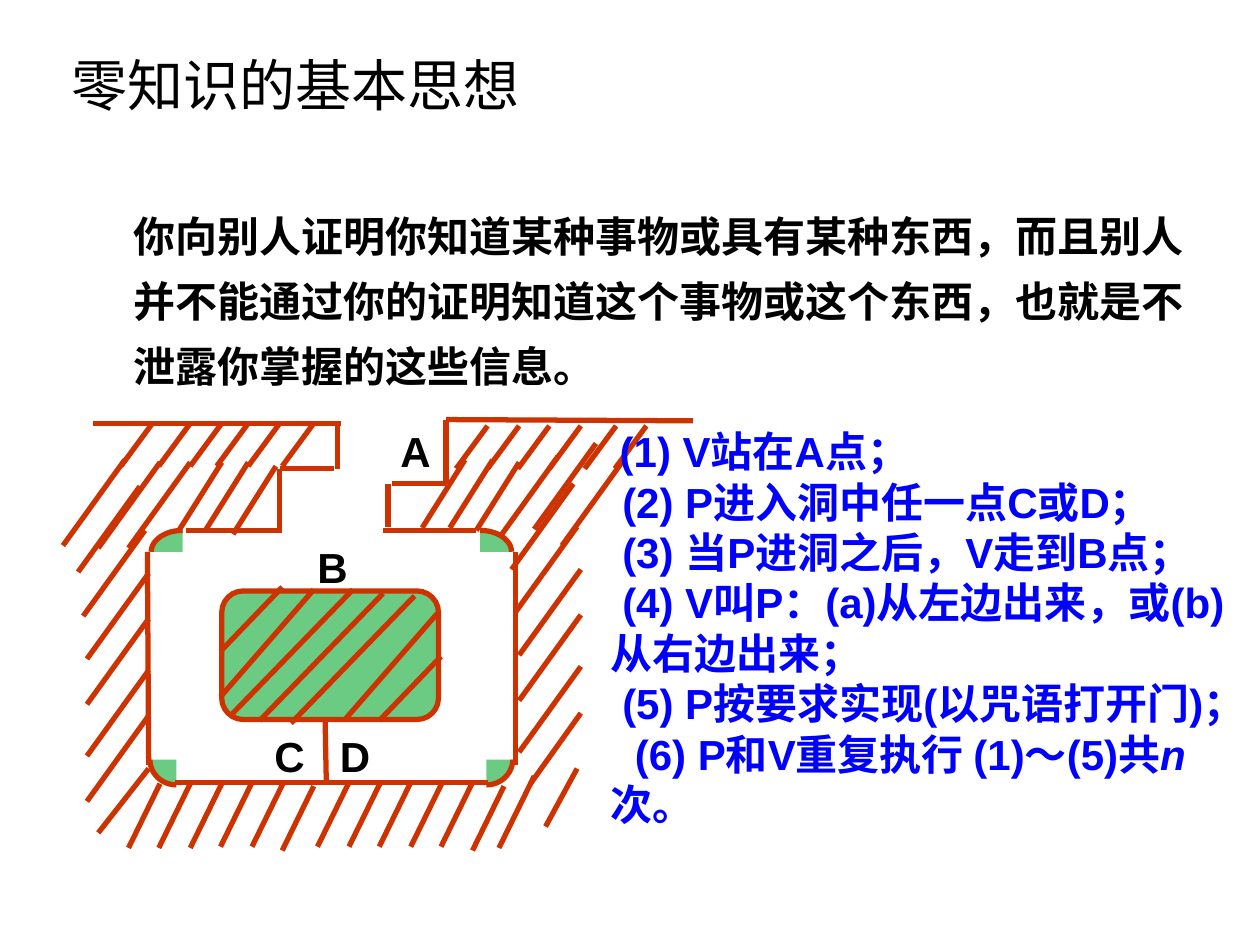
from copy import deepcopy
from math import cos, radians, sin

from lxml.etree import SubElement
from pptx import Presentation
from pptx.dml.color import RGBColor
from pptx.enum.lang import MSO_LANGUAGE_ID
from pptx.enum.shapes import MSO_CONNECTOR, MSO_SHAPE
from pptx.enum.text import MSO_ANCHOR, PP_ALIGN
from pptx.oxml.ns import qn
from pptx.util import Inches, Pt

COLORS = {"rock": "CC3300", "stone": "6BCB82", "text": "000000", "steps": "0000FF"}


def add_line(shapes, x1, y1, x2, y2):
    cx = shapes.add_connector(MSO_CONNECTOR.STRAIGHT, *map(Inches, (x1, y1, x2, y2)))
    cx.line.color.rgb = RGBColor.from_string(COLORS["rock"])
    cx.line.width = Pt(3)
    SubElement(cx._element.spPr, qn("a:effectLst"))


def set_font(p, size=24, color="text", name="Arial", bold=True):
    p.font.size = Pt(size)
    p.font.bold = bold
    p.font.name = name
    p.font.color.rgb = RGBColor.from_string(COLORS[color])
    for r in p.runs:
        r.font.language_id = MSO_LANGUAGE_ID.SIMPLIFIED_CHINESE


prs = Presentation()
prs.slide_width, prs.slide_height = Inches(10), Inches(7.5)
s = prs.slides.add_slide(prs.slide_layouts[5])

# Title
title = s.shapes.title
title.left, title.top, title.width, title.height = map(Inches, (0.47, 0.15, 7.33, 1.04))
title.text_frame.text = "零知识的基本思想"
title.text_frame.vertical_anchor = MSO_ANCHOR.MIDDLE
p = title.text_frame.paragraphs[0]
p.alignment = PP_ALIGN.LEFT
set_font(p, 32, bold=False)

# Cave drawing
cave = s.shapes.add_group_shape().shapes

# Hatching: (run to the left, drop) of each slant -> upper ends of its strokes
rock_hatching = {
    (0.49, 0.68): [
        (0.99, 3.65), (1.27, 3.67), (1.51, 3.67), (1.11, 3.86), (1.15, 4.21),
        (1.18, 4.55), (1.18, 4.91), (1.18, 5.32), (1.18, 5.68),
        (4.43, 3.62), (4.73, 3.52), (4.95, 3.65), (4.55, 3.84), (4.58, 4.18),
        (4.61, 4.52), (4.61, 4.88), (4.61, 5.29)],
    (0.25, 0.51): [
        (1.27, 6.22), (1.51, 6.22), (1.76, 6.22), (2, 6.21), (2.25, 6.21), (2.49, 6.24),
        (2.77, 6.21), (3.02, 6.21), (3.26, 6.21), (3.51, 6.21), (3.75, 6.21), (4, 6.24)],
    (0.34, 0.54): [
        (1.76, 3.67), (1.97, 3.67), (2.19, 3.7), (3.69, 3.65), (3.91, 3.65), (4.12, 3.67)],
    (0.25, 0.34): [
        (1.21, 3.36), (1.51, 3.36), (1.76, 3.36), (1.97, 3.36), (2.22, 3.36), (2.49, 3.36),
        (3.87, 3.38), (4.12, 3.38), (4.36, 3.38), (4.61, 3.38), (4.89, 3.38), (5.13, 3.38)],
    (0.4, 0.51): [(1.18, 6.1)],
    (0.4, 0.56): [(4.61, 5.66)],
    (0.28, 0.57): [(4.24, 6.16)],
    (0.25, 0.46): [(4.58, 6.1)],
}
pillar_hatching = {
    (0.74, 0.85): [(2.49, 4.68), (3.47, 4.87)],
    (0.98, 1.01): [(2.8, 4.68), (3.04, 4.71), (3.29, 4.73)],
    (0.49, 0.51): [(2.24, 4.66), (3.5, 5.21)],
}
for (run, drop), tops in rock_hatching.items():
    for x, y in tops:
        add_line(cave, x, y, x - run, y + drop)

pillar = cave.add_shape(MSO_SHAPE.ROUNDED_RECTANGLE, *map(Inches, (1.76, 4.69, 1.72, 1.02)))
pillar.adjustments[0] = 0.167

# Rounded corners: centre, radii and start angle of each quarter
corners = [
    (3.81, 4.38, 0.25, 0.17, 270),
    (3.86, 6.03, 0.21, 0.2, 0),
    (1.4, 6.03, 0.21, 0.2, 90),
    (1.45, 4.38, 0.25, 0.17, 180),
]
stones = [pillar]
for x, y, rx, ry, start in corners:
    angles = [radians(start + 7.5 * k) for k in range(13)]
    points = [(Inches(x + rx * cos(a)), Inches(y + ry * sin(a))) for a in angles]
    builder = cave.build_freeform(*points[0])
    builder.add_line_segments(points[1:] + [(Inches(x), Inches(y))], close=True)
    corner = builder.convert_to_shape()
    # Fill the whole quarter, but stroke only its curved edge
    wedge = next(corner._element.iter(qn("a:path")))
    edge = deepcopy(wedge)
    del edge[-2:]
    wedge.set("stroke", "0")
    edge.set("fill", "none")
    wedge.addnext(edge)
    stones.append(corner)
for sp in stones:
    sp.shadow.inherit = False
    sp.fill.solid()
    sp.fill.fore_color.rgb = RGBColor.from_string(COLORS["stone"])
    sp.line.color.rgb = RGBColor.from_string(COLORS["rock"])
    sp.line.width = Pt(3)

for (run, drop), tops in pillar_hatching.items():
    for x, y in tops:
        add_line(cave, x, y, x - run, y + drop)

walls = [
    (0.74, 3.36, 2.71, 3.36), (2.68, 3.38, 2.68, 3.72), (2.65, 3.72, 2.22, 3.72),
    (2.22, 3.72, 2.22, 4.23), (1.48, 4.21, 2.22, 4.21), (1.17, 4.38, 1.18, 6.07),
    (3.54, 3.33, 5.5, 3.34), (3.54, 3.84, 3.54, 3.33), (3.11, 3.84, 3.54, 3.84),
    (3.08, 4.18, 3.08, 3.84), (3.78, 4.21, 3.04, 4.21), (4.09, 4.38, 4.09, 6.07),
    (1.39, 6.21, 3.6, 6.21), (3.87, 6.21, 1.66, 6.21), (2.58, 5.7, 2.59, 6.21),
]
for wall in walls:
    add_line(cave, *wall)

# Place labels
for text, x, y, width in [("A", 3.08, 3.33, 0.5), ("B", 2.42, 4.25, 0.38), ("C\tD", 2.08, 5.75, 1)]:
    tf = s.shapes.add_textbox(*map(Inches, (x, y, width, 0.5))).text_frame
    tf.word_wrap = True
    p = tf.paragraphs[0]
    p.text = text
    if "\t" in text:
        tabs = SubElement(p._p.get_or_add_pPr(), qn("a:tabLst"))
        SubElement(tabs, qn("a:tab"), pos=str(Inches(0.52)), algn="l")
    set_font(p)

# Definition
tf = s.shapes.add_textbox(*map(Inches, (0.58, 1.5, 9.08, 1.58))).text_frame
tf.word_wrap = True
p = tf.paragraphs[0]
p.text = ("你向别人证明你知道某种事物或具有某种东西，而且别人并不能通过你的证明知道"
          "这个事物或这个东西，也就是不泄露你掌握的这些信息。")
p.line_spacing = Pt(37.3)
p._p.get_or_add_pPr().set("marL", str(Inches(0.38)))
set_font(p, name="Noto Sans CJK SC")

# Protocol steps: first-line indent and runs
steps = [
    (0.07, ["(1) V站在A点；"]),
    (0.09, ["(2) P进入洞中任一点C或D；"]),
    (0.09, ["(3) 当P进洞之后，V走到B点；"]),
    (0.09, ["(4) V叫P：(a)从左边出来，或(b)从右边出来；"]),
    (0.09, ["(5) P按要求实现(以咒语打开门)；"]),
    (0.19, ["(6) P和V重复执行 (1)～(5)共", "n", "次。"]),
]
tf = s.shapes.add_textbox(*map(Inches, (4.75, 3.33, 5.25, 3.3))).text_frame
tf.word_wrap = True
for i, (indent, runs) in enumerate(steps):
    p = tf.add_paragraph() if i else tf.paragraphs[0]
    for text in runs:
        r = p.add_run()
        r.text = text
        if text == "n":
            r.font.italic = True
    p.line_spacing = Pt(28.8)
    pPr = p._p.get_or_add_pPr()
    pPr.set("indent", str(Inches(indent)))
    pPr.set("hangingPunct", "0")
    set_font(p, color="steps")

prs.save("out.pptx")
